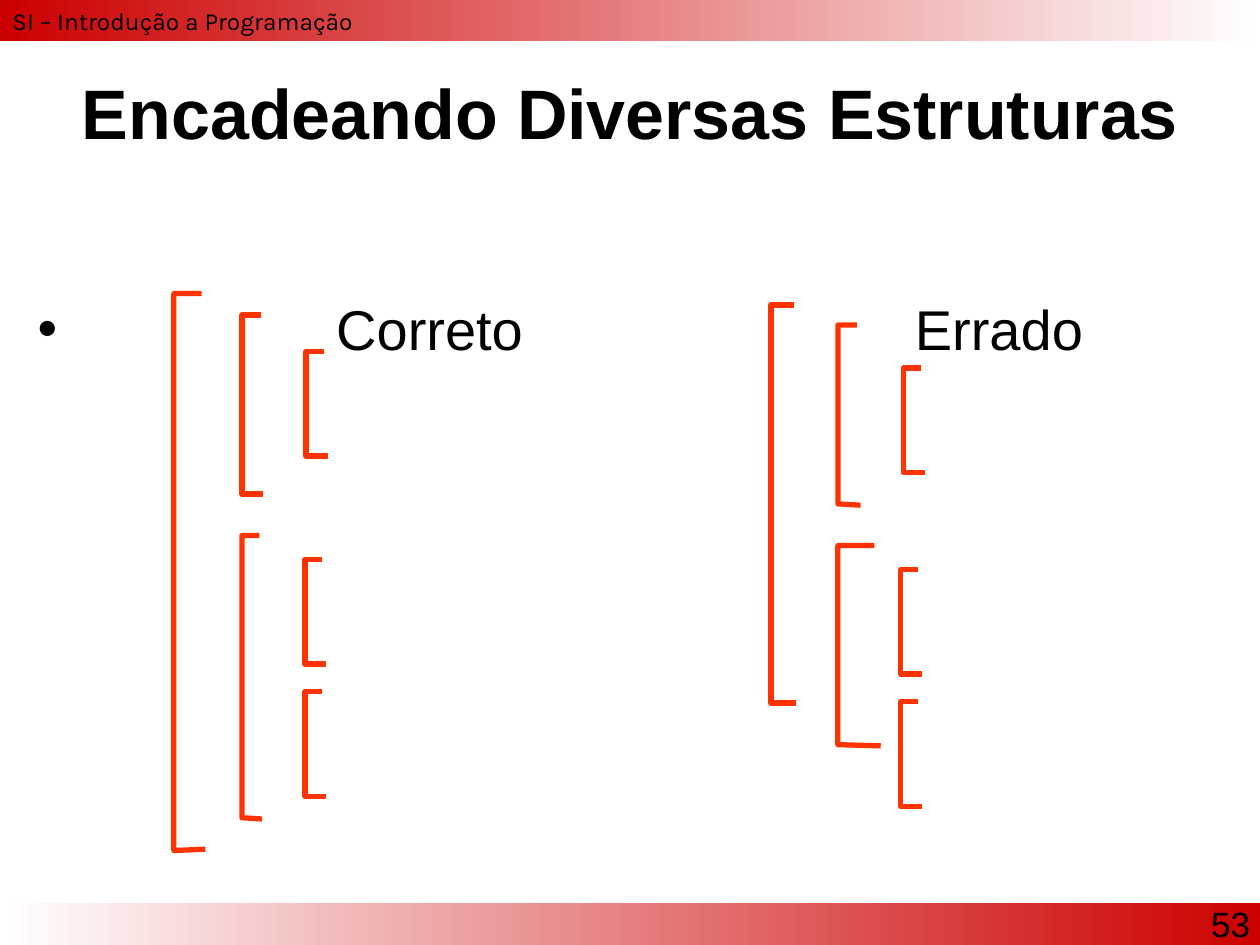
from dataclasses import dataclass

from lxml import etree
from pptx import Presentation
from pptx import util as u
from pptx.dml.color import RGBColor
from pptx.enum import shapes, text
from pptx.oxml.ns import qn


@dataclass(frozen=True)
class Theme:
    """Colours, fonts and type sizes of the deck."""
    ink: str = "000000"
    paper: str = "FFFFFF"
    band: str = "CC0000"
    bracket: str = "FF3300"
    body_font: str = "Arial"
    header_font: str = "Karla"
    header: int = 14
    number: int = 20
    body: int = 32
    title: int = 40
    stroke: int = 3


def write(frame, content, size, font, color, bold=False,
          align=text.PP_ALIGN.LEFT, anchor=text.MSO_ANCHOR.TOP):
    """Fill a text frame with one formatted paragraph and return it."""
    frame.word_wrap = True
    frame.vertical_anchor = anchor
    line = frame.paragraphs[0]
    line.alignment = align
    run = line.add_run()
    run.text = content
    run.font.size, run.font.name, run.font.bold = u.Pt(size), font, bold
    run.font.color.rgb = RGBColor.from_string(color)
    return line


class Composer:
    """Draws on one slide with a grid of 100 columns and 75 rows."""

    def __init__(self, deck, theme):
        """Add a blank slide and size the grid cell."""
        self.theme = theme
        self.slide = deck.slides.add_slide(deck.slide_layouts[6])
        self.cell = deck.slide_width / 100

    def grid(self, *cells):
        """Turn grid cells into lengths."""
        return [u.Emu(round(count * self.cell)) for count in cells]

    def band(self, top, start, end):
        """Draw a full-width gradient band."""
        strip = self.slide.shapes.add_shape(
            shapes.MSO_SHAPE.RECTANGLE, *self.grid(0, top, 100, 3.3))
        strip.shadow.inherit = False
        strip.line.fill.background()
        strip.fill.gradient()
        strip.fill.gradient_angle = 0
        for stop, color, position in zip(strip.fill.gradient_stops, (start, end), (0, 1)):
            stop.color.rgb = RGBColor.from_string(color)
            stop.position = position

    def label(self, box, content, size, font=None, **style):
        """Add a text box and return its frame and paragraph."""
        frame = self.slide.shapes.add_textbox(*self.grid(*box)).text_frame
        line = write(frame, content, size, font or self.theme.body_font,
                     self.theme.ink, **style)
        return frame, line

    def bulleted(self, box, content, inset, indent, tab):
        """Add a bulleted line with a hanging indent and one tab stop."""
        frame, line = self.label(box, content, self.theme.body)
        frame.margin_top, hang, stop = self.grid(inset, indent, tab)
        props = line._p.get_or_add_pPr()
        props.set("marL", str(hang))
        props.set("indent", str(-hang))
        etree.SubElement(props, qn("a:buFont"), typeface=self.theme.body_font)
        etree.SubElement(props, qn("a:buChar"), char="•")
        tabs = etree.SubElement(props, qn("a:tabLst"))
        etree.SubElement(tabs, qn("a:tab"), pos=str(stop), algn="l")

    def bracket(self, left, top, height, arm, foot, slant=0):
        """Draw an open bracket whose foot may slant slightly."""
        bottom = top + height
        start, *rest = [self.grid(*point) for point in (
            (left + arm, top), (left, top), (left, bottom),
            (left + foot, bottom + slant))]
        builder = self.slide.shapes.build_freeform(*start)
        builder.add_line_segments(rest, close=False)
        outline = builder.convert_to_shape()
        outline.shadow.inherit = False
        outline.fill.background()
        outline.line.color.rgb = RGBColor.from_string(self.theme.bracket)
        outline.line.width = u.Pt(self.theme.stroke)


def main():
    """Build the slide on nested structures."""
    deck = Presentation()
    deck.slide_width, deck.slide_height = u.Inches(10), u.Inches(7.5)
    theme = Theme()
    page = Composer(deck, theme)

    page.band(71.7, theme.paper, theme.band)
    page.band(0, theme.band, theme.paper)
    page.label((0, 0, 100, 5), "SI – Introdução a Programação",
               theme.header, theme.header_font)
    page.label((0, 5.2, 100, 7.3), "Encadeando Diversas Estruturas", theme.title,
               bold=True, align=text.PP_ALIGN.CENTER, anchor=text.MSO_ANCHOR.MIDDLE)
    page.bulleted((2, 16.2, 95.3, 54.6), "Correto\tErrado",
                  inset=7.2, indent=23.7, tab=70)
    page.label((86.7, 71.1, 13.5, 5), "53", theme.number, align=text.PP_ALIGN.RIGHT)

    correct = [
        (13.8, 23.3, 44.2, 2.2, 2.5, -0.1),
        (19.2, 25, 14.2, 1.5, 1.7),
        (19.2, 42.5, 22.4, 1.4, 1.6, 0.1),
    ]
    wrong = [
        (61.2, 24.2, 31.6, 1.8, 2),
        (66.5, 25.8, 14.2, 1.5, 1.8, 0.1),
        (66.5, 43.3, 15.8, 2.9, 3.4, 0.1),
    ]
    innermost = [(24.3, 27.9), (24.2, 44.4), (24.2, 54.9),
                 (71.7, 29.2), (71.5, 45.2), (71.5, 55.7)]
    for nest in correct + wrong:
        page.bracket(*nest)
    for left, top in innermost:
        page.bracket(left, top, height=8.3, arm=1.4, foot=1.7)

    deck.save("out.pptx")


if __name__ == "__main__":
    main()
